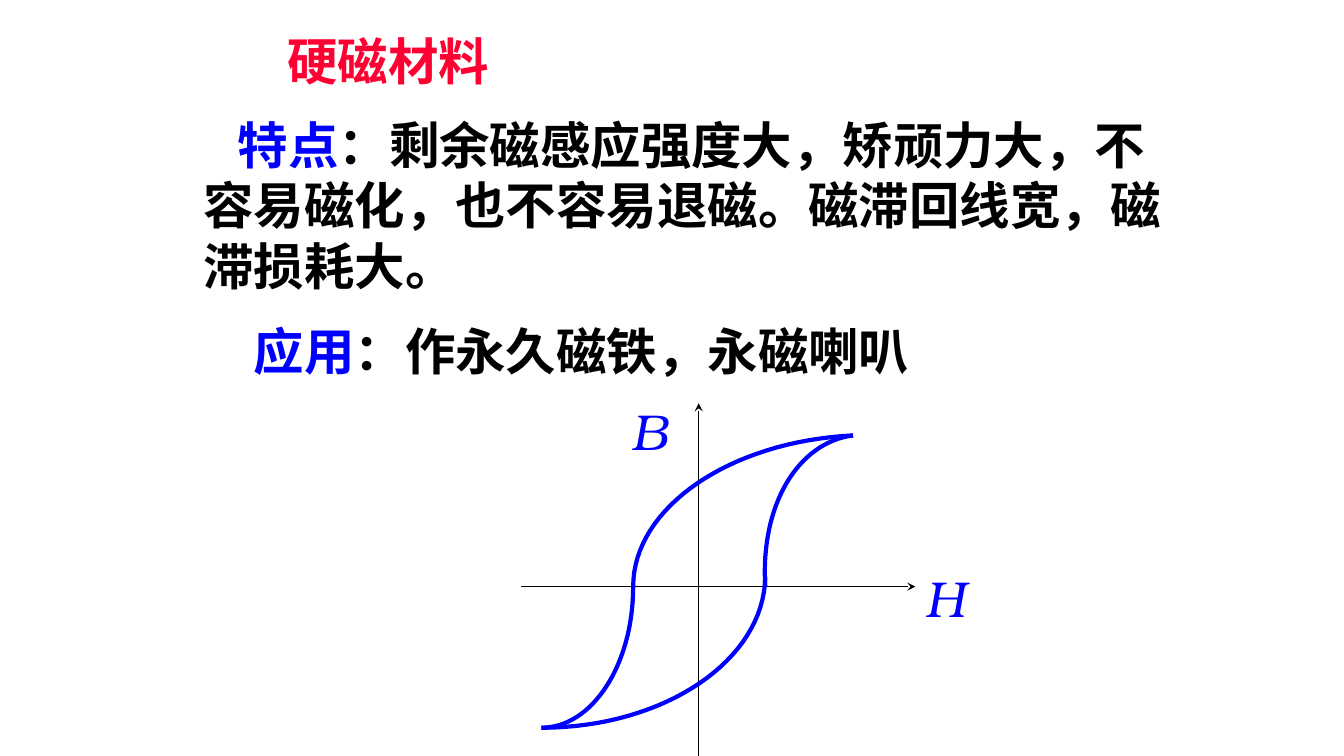
from dataclasses import dataclass

from lxml import etree
from pptx import Presentation
from pptx.dml.color import RGBColor
from pptx.enum.lang import MSO_LANGUAGE_ID
from pptx.enum.shapes import MSO_CONNECTOR
from pptx.enum.text import MSO_ANCHOR, MSO_AUTO_SIZE, PP_ALIGN
from pptx.oxml.ns import qn
from pptx.util import Inches, Pt

STRAIGHT = MSO_CONNECTOR.STRAIGHT
CHINESE = MSO_LANGUAGE_ID.SIMPLIFIED_CHINESE
TOP, LEFT, NO_FIT = MSO_ANCHOR.TOP, PP_ALIGN.LEFT, MSO_AUTO_SIZE.NONE

BLACK, BLUE, RED = "000000", "0000FF", "FF0033"
BOLD = {"name": "TeX Gyre Bonum", "size": Pt(36), "bold": True, "language_id": CHINESE}
ITALIC = {"name": "TeX Gyre Bonum", "size": Pt(36), "bold": False, "italic": True}
CURVE_STEPS = 32

Point = tuple[float, float]
Run = tuple[str, str]


@dataclass
class TextBlock:
    box: tuple[float, float, float, float]
    lines: list[list[Run]]
    font: dict
    first_indent: float = 0


@dataclass
class Axis:
    start: Point
    end: Point


@dataclass
class Branch:
    """One cubic section of the hysteresis loop."""
    start: Point
    control_1: Point
    control_2: Point
    end: Point

    def point(self, t: float) -> Point:
        weights = ((1 - t) ** 3, 3 * t * (1 - t) ** 2, 3 * t * t * (1 - t), t ** 3)
        corners = (self.start, self.control_1, self.control_2, self.end)
        return (sum(w * x for w, (x, _) in zip(weights, corners)),
                sum(w * y for w, (_, y) in zip(weights, corners)))


HEADING = TextBlock((2.75, 0.25, 2.23, 0.71), [[("硬磁材料", RED)]], BOLD)
TEXT_BLOCKS = [
    TextBlock((1.92, 1.08, 9.84, 1.92), [
        [("特点", BLUE), ("：剩余磁感应强度大，矫顽力大，不", BLACK)],
        [("容易磁化，也不容易退磁。磁滞回线宽，磁", BLACK)],
        [("滞损耗大。", BLACK)],
    ], BOLD, first_indent=0.34),
    TextBlock((2.42, 3.13, 6.79, 0.71),
              [[("应用", BLUE), ("：作永久磁铁，永磁喇叭", BLACK)]], BOLD),
    TextBlock((6.17, 3.92, 0.56, 0.7), [[("B", BLUE)]], ITALIC),
    TextBlock((9.08, 5.58, 0.6, 0.7), [[("H", BLUE)]], ITALIC),
]
AXES = [Axis((5.17, 5.82), (9.08, 5.82)), Axis((6.93, 7.5), (6.93, 4))]
BRANCHES = [
    Branch((6.28, 5.82), (6.28, 5.04), (7.23, 4.38), (8.46, 4.32)),
    Branch((7.59, 5.72), (7.58, 6.55), (6.59, 7.22), (5.37, 7.22)),
    Branch((7.59, 5.82), (7.54, 5), (7.92, 4.39), (8.46, 4.32)),
    Branch((6.28, 5.82), (6.28, 6.6), (5.87, 7.22), (5.37, 7.22)),
]


def color(hex_value: str) -> RGBColor:
    return RGBColor.from_string(hex_value)


def write_text(shape, block: TextBlock) -> None:
    shape.left, shape.top, shape.width, shape.height = map(Inches, block.box)
    frame = shape.text_frame
    frame.word_wrap = False
    frame.auto_size = NO_FIT
    frame.vertical_anchor = TOP
    for index, line in enumerate(block.lines):
        paragraph = frame.add_paragraph() if index else frame.paragraphs[0]
        paragraph.alignment = LEFT
        if index == 0 and block.first_indent:
            paragraph._p.get_or_add_pPr().set("indent", str(Inches(block.first_indent)))
        for text, hex_value in line:
            run = paragraph.add_run()
            run.text = text
            for name, value in block.font.items():
                setattr(run.font, name, value)
            run.font.color.rgb = color(hex_value)


def add_axis(slide, axis: Axis) -> None:
    connector = slide.shapes.add_connector(
        STRAIGHT, *map(Inches, axis.start + axis.end))
    connector.line.color.rgb = color(BLACK)
    connector.line.width = Pt(1)
    etree.SubElement(connector.line._get_or_add_ln(), qn("a:tailEnd"), type="stealth")
    etree.SubElement(connector._element.spPr, qn("a:effectLst"))


def add_branch(slide, branch: Branch) -> None:
    points = [tuple(map(Inches, branch.point(step / CURVE_STEPS)))
              for step in range(CURVE_STEPS + 1)]
    builder = slide.shapes.build_freeform(*points[0])
    builder.add_line_segments(points[1:], close=False)
    shape = builder.convert_to_shape()
    shape.shadow.inherit = False
    shape.fill.background()
    shape.line.color.rgb = color(BLUE)
    shape.line.width = Pt(3)


def main() -> None:
    presentation = Presentation()
    presentation.slide_width = Inches(13.33)
    presentation.slide_height = Inches(7.5)
    slide = presentation.slides.add_slide(presentation.slide_layouts[5])

    # Heading
    write_text(slide.shapes.title, HEADING)

    # Hysteresis loop on its axes
    for axis in AXES:
        add_axis(slide, axis)
    for branch in BRANCHES:
        add_branch(slide, branch)

    # Description and axis labels
    for block in TEXT_BLOCKS:
        write_text(slide.shapes.add_textbox(*map(Inches, block.box)), block)

    presentation.save("out.pptx")


if __name__ == "__main__":
    main()
